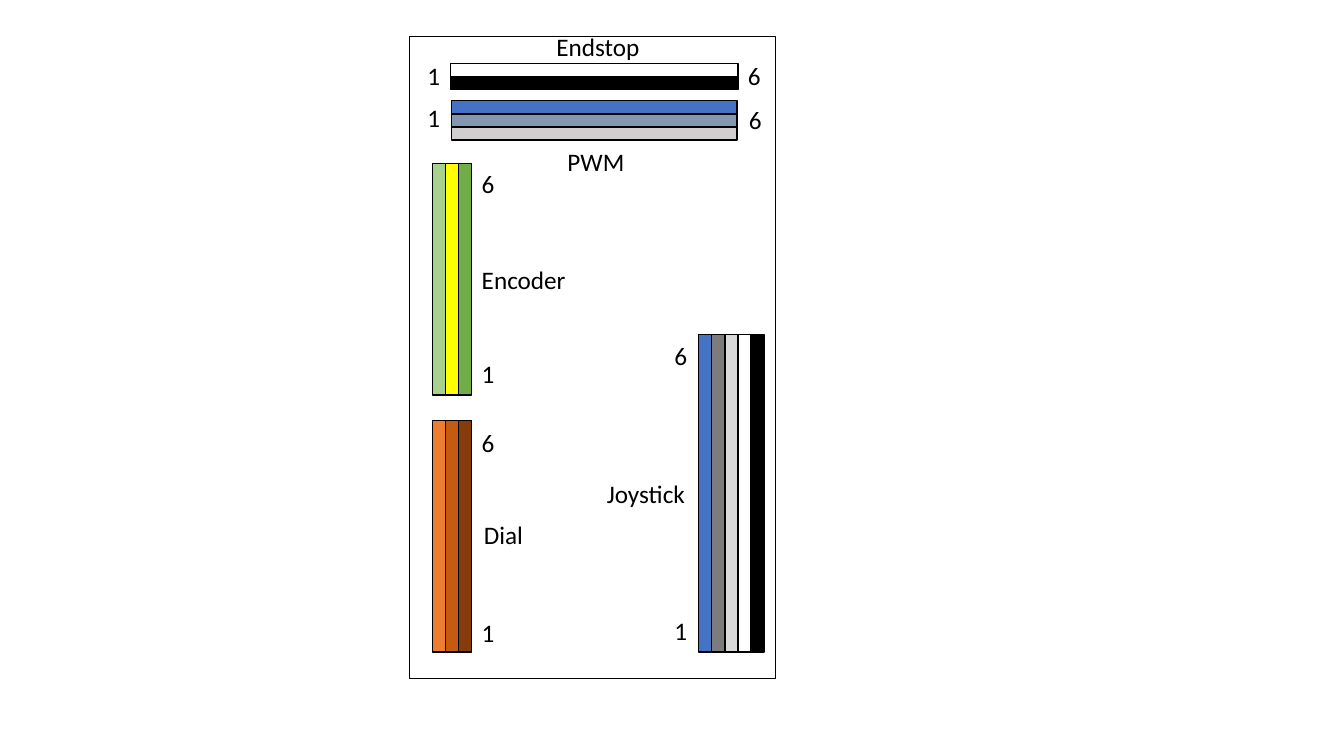
from pptx import Presentation
from pptx.dml.color import RGBColor
from pptx.enum.shapes import MSO_SHAPE
from pptx.enum.text import MSO_AUTO_SIZE
from pptx.util import Inches, Pt

WIRE = 0.13
LABEL_HEIGHT = 0.4
PIN_WIDTH = 0.33
LABEL_FONT = {"name": "Calibri", "size": Pt(18)}


def color(hex_value):
    return RGBColor.from_string(hex_value)


def add_box(shapes, left, top, width, height, fill=None):
    box = shapes.add_shape(MSO_SHAPE.RECTANGLE, Inches(left), Inches(top),
                           Inches(width), Inches(height))
    box.shadow.inherit = False
    box.line.color.rgb = color("000000")
    box.line.width = Pt(1)
    if fill:
        box.fill.solid()
        box.fill.fore_color.rgb = color(fill)
    else:
        box.fill.background()


prs = Presentation()
prs.slide_width = Inches(13.33)
prs.slide_height = Inches(7.5)
slide = prs.slides.add_slide(prs.slide_layouts[6])

add_box(slide.shapes, 4.06, 0.36, 3.63, 6.37)

vertical_connectors = [
    (6.93, 3.32, 3.15, ["4472C4", "7C7C7C", "D9D9D9", "FFFFFF", "000000"]),
    (4.29, 4.17, 2.3, ["ED7D31", "C55A11", "843C0B"]),
    (4.29, 1.62, 2.3, ["A9D18E", "FFFF00", "70AD47"]),
]
for left, top, length, wires in vertical_connectors:
    connector = slide.shapes.add_group_shape()
    for i, wire in reversed(list(enumerate(wires))):
        add_box(connector.shapes, left + i * WIRE, top, WIRE, length, wire)

horizontal_connectors = [
    (4.48, 1.0, 2.83, ["4472C4", "8497B0", "D0CECE"]),
    (4.47, 0.63, 2.85, ["FFFFFF", "000000"]),
]
for left, top, length, wires in horizontal_connectors:
    connector = slide.shapes.add_group_shape()
    for i, wire in reversed(list(enumerate(wires))):
        add_box(connector.shapes, left, top + i * WIRE, length, WIRE, wire)

connector_names = [
    ("PWM", 5.53, 1.4, 0.77),
    ("Joystick", 5.92, 4.7, 0.98),
    ("Encoder", 4.68, 2.57, 1.04),
    ("Dial", 4.7, 5.1, 0.59),
    ("Endstop", 5.42, 0.26, 1.03),
]
pin_numbers = [
    ("1", 4.68, 3.51), ("6", 4.68, 1.62),
    ("1", 4.68, 6.08), ("6", 4.68, 4.19),
    ("1", 6.59, 6.06), ("6", 6.59, 3.33),
    ("1", 4.14, 0.97), ("6", 7.33, 0.99),
    ("1", 4.14, 0.55), ("6", 7.32, 0.55),
]
labels = connector_names + [(*pin, PIN_WIDTH) for pin in pin_numbers]
for text, left, top, width in labels:
    label = slide.shapes.add_textbox(Inches(left), Inches(top),
                                     Inches(width), Inches(LABEL_HEIGHT))
    frame = label.text_frame
    frame.word_wrap = False
    frame.auto_size = MSO_AUTO_SIZE.SHAPE_TO_FIT_TEXT
    run = frame.paragraphs[0].add_run()
    run.text = text
    run.font.color.rgb = color("000000")
    for attribute, value in LABEL_FONT.items():
        setattr(run.font, attribute, value)

prs.save("out.pptx")
